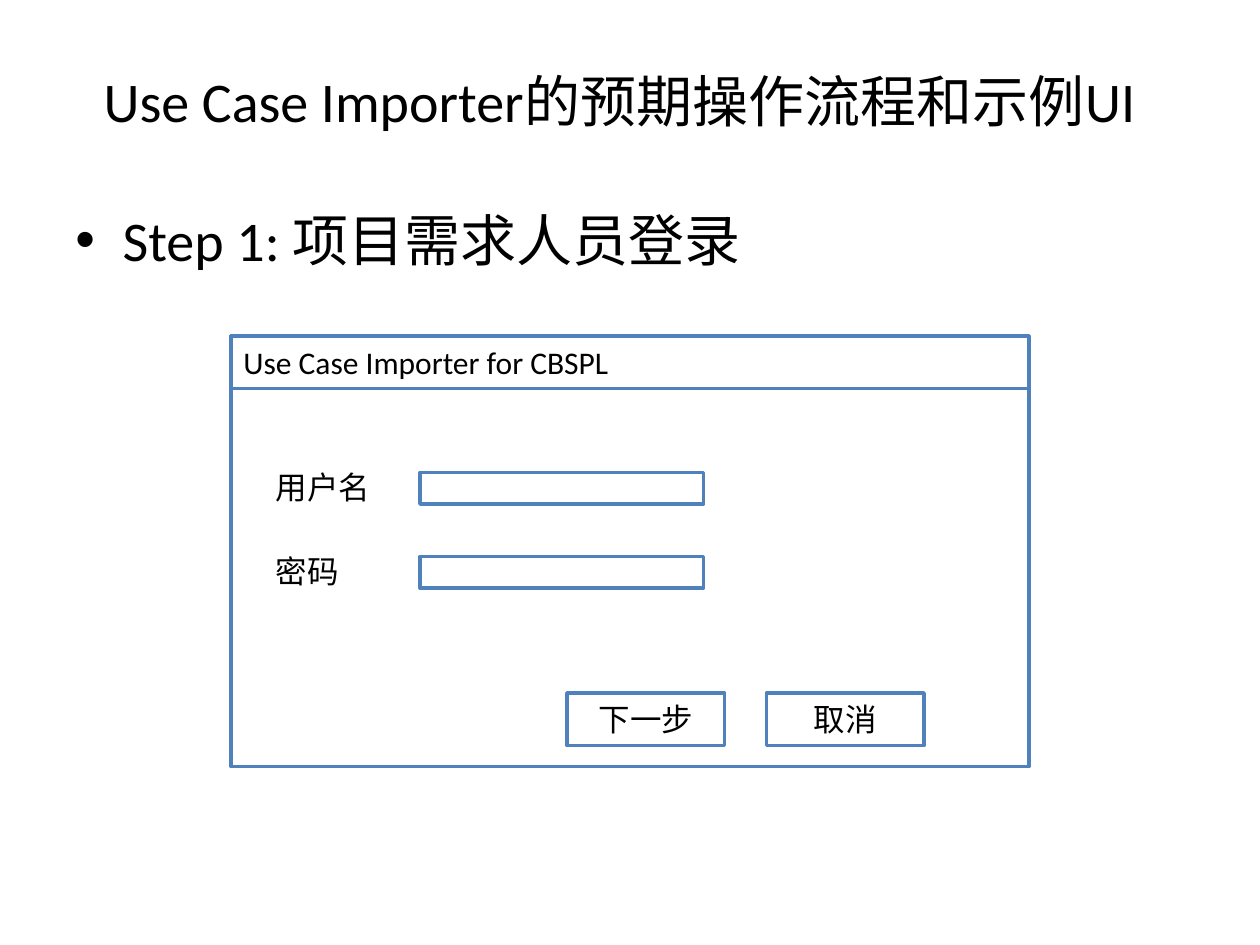
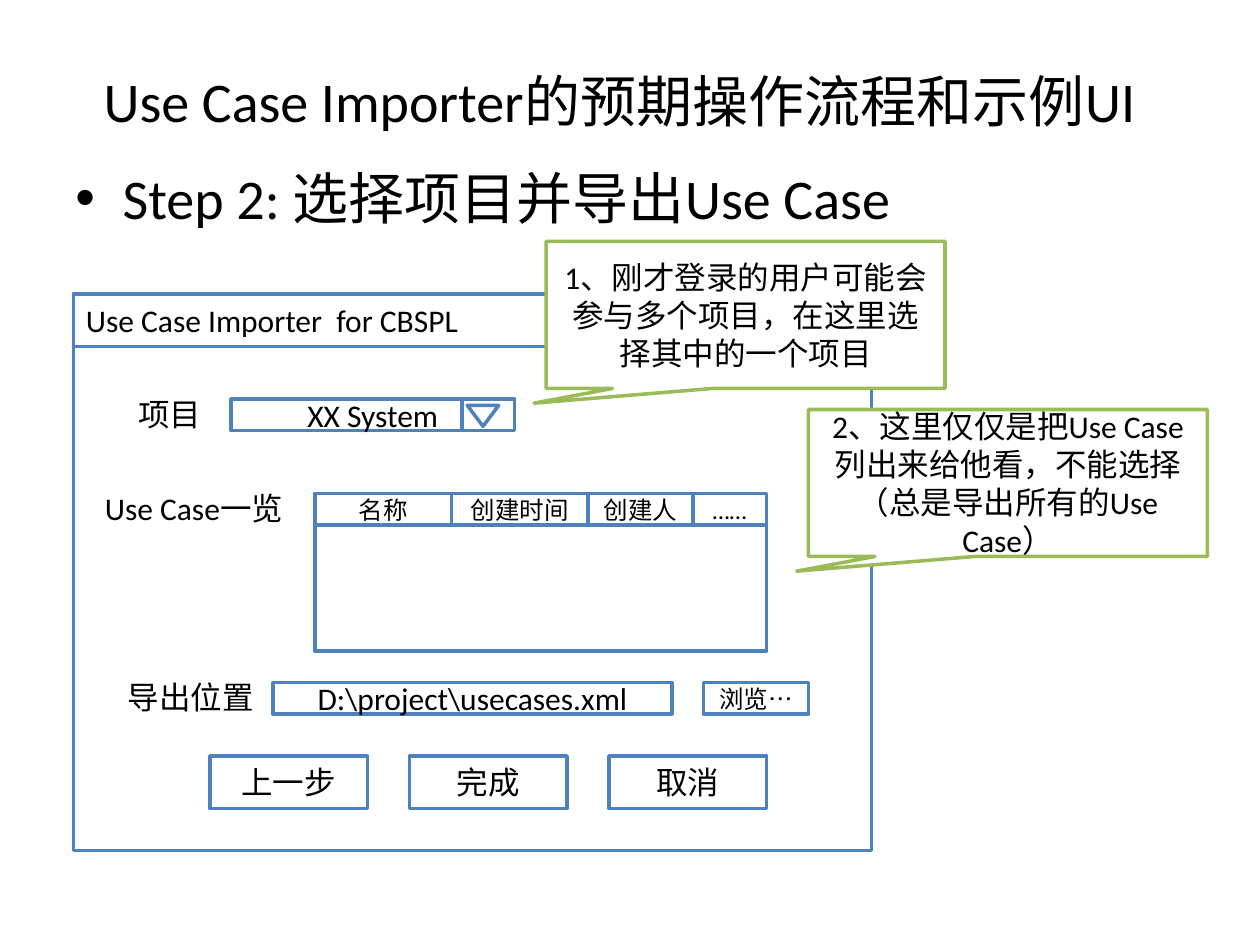
import pptx
import pptx.dml.color
import pptx.enum.shapes
import pptx.enum.text
import pptx.oxml.ns
import pptx.util
from lxml import etree

PX = 914400 // 120  # one px in EMU, 120 px to the inch
FONT = "Calibri"
COLORS = {"text": "000000", "paper": "FFFFFF", "ui": "4F81BD", "note": "9BBB59"}
TITLE = "Use Case Importer的预期操作流程和示例UI"
SHAPES = pptx.enum.shapes.MSO_SHAPE
ALIGN = pptx.enum.text.PP_ALIGN
ANCHOR = pptx.enum.text.MSO_ANCHOR
NO_FIT = pptx.enum.text.MSO_AUTO_SIZE.NONE

FRAME = {"auto_size": NO_FIT, "word_wrap": True, "vertical_anchor": ANCHOR.MIDDLE}
LABEL_FRAME = {"auto_size": NO_FIT, "word_wrap": False, "vertical_anchor": ANCHOR.TOP}
BULLET_FRAME = {"auto_size": NO_FIT, "word_wrap": True, "vertical_anchor": ANCHOR.TOP}

BAR_H = FIELD_H = 0
BAR_H, FIELD_H = 50, 30
BUTTON_W, BUTTON_H, BUTTON_PITCH = 150, 50, 190


def emu(*lengths):
    return [pptx.util.Emu(n * PX) for n in lengths]


def rgb(name):
    return pptx.dml.color.RGBColor.from_string(COLORS[name])


def set_attrs(obj, values):
    for name, value in values.items():
        setattr(obj, name, value)


def write(sp, text, size=18, align=ALIGN.CENTER, frame=FRAME):
    tf = sp.text_frame
    set_attrs(tf, frame)
    p = tf.paragraphs[0]
    p.alignment = align
    r = p.add_run()
    r.text = text
    set_attrs(r.font, {"name": FONT, "size": pptx.util.Pt(size)})
    r.font.color.rgb = rgb("text")
    return p


def style_line(line, color="ui"):
    line.color.rgb = rgb(color)
    line.width = pptx.util.Pt(2)


def shape(slide, box, text="", size=18, align=ALIGN.CENTER,
          kind=SHAPES.RECTANGLE, color="ui"):
    sp = slide.shapes.add_shape(kind, *emu(*box))
    sp.shadow.inherit = False
    sp.fill.solid()
    sp.fill.fore_color.rgb = rgb("paper")
    style_line(sp.line, color)
    if text:
        write(sp, text, size, align)
    return sp


def label(slide, x, y, width, text):
    sp = slide.shapes.add_textbox(*emu(x, y, width, 48))
    write(sp, text, align=ALIGN.LEFT, frame=LABEL_FRAME)


def field(slide, x, y, width, text="", size=18):
    shape(slide, (x, y, width, FIELD_H), text, size)


def buttons(slide, x, y, captions):
    for i, caption in enumerate(captions):
        shape(slide, (x + i * BUTTON_PITCH, y, BUTTON_W, BUTTON_H), caption)


def window(slide, x, y, height, caption):
    shape(slide, (x, y, 760, height))
    shape(slide, (x, y, 760, BAR_H), caption, align=ALIGN.LEFT)


def drop_down(slide, x, y, width, text):
    field(slide, x, y, width, text)
    split = x + width - 50
    arrow = shape(slide, (split + 5, y + 6, 30, 20), kind=SHAPES.ISOSCELES_TRIANGLE)
    arrow.rotation = 180
    line = slide.shapes.add_connector(pptx.enum.shapes.MSO_CONNECTOR.STRAIGHT,
                                      *emu(split, y, split, y + FIELD_H))
    style_line(line.line)
    etree.SubElement(line._element.spPr, pptx.oxml.ns.qn("a:effectLst"))


def list_view(slide, x, y, height, columns):
    shape(slide, (x, y, sum(width for _, width in columns), height))
    for name, width in columns:
        field(slide, x, y, width, name, 14)
        x += width


def callout(slide, x, y, text):
    sp = shape(slide, (x, y, 380, 140), text,
               kind=SHAPES.RECTANGULAR_CALLOUT, color="note")
    sp.adjustments[0], sp.adjustments[1] = -0.53, 0.6


def step_slide(prs, step_y, step):
    slide = prs.slides.add_slide(prs.slide_layouts[5])
    title = slide.shapes.title
    set_attrs(title, dict(zip(("left", "top", "width", "height"),
                              emu(50, 20, 1080, 150))))
    write(title, TITLE, 32)

    # Bulleted step line with a hanging indent
    sp = slide.shapes.add_textbox(*emu(60, step_y, 1080, 80))
    p = write(sp, step, 32, ALIGN.LEFT, BULLET_FRAME)
    p.space_before = pptx.util.Pt(8)
    pPr = p._p.get_or_add_pPr()
    indent = 45 * PX
    pPr.set("marL", str(indent))
    pPr.set("indent", str(-indent))
    for tag, key, value in (("a:buFont", "typeface", "Arial"), ("a:buChar", "char", "•")):
        etree.SubElement(pPr, pptx.oxml.ns.qn(tag)).set(key, value)
    return slide


def login_slide(prs):
    slide = step_slide(prs, 190, "Step 1: 项目需求人员登录")
    window(slide, 220, 320, 410, "Use Case Importer for CBSPL")
    for y, name, width in ((440, "用户名", 114), (520, "密码", 84)):
        label(slide, 251, y, width, name)
        field(slide, 400, y + 10, 270)
    buttons(slide, 540, 660, ("下一步", "取消"))


def export_slide(prs):
    slide = step_slide(prs, 150, "Step 2: 选择项目并导出Use Case")
    window(slide, 70, 280, 530, "Use Case Importer  for CBSPL")

    # Project choice and use case list
    label(slide, 120, 370, 84, "项目")
    drop_down(slide, 220, 380, 270, "XX System")
    label(slide, 88, 460, 200, "Use Case一览")
    list_view(slide, 300, 470, 150,
              (("名称", 130), ("创建时间", 130), ("创建人", 100), ("……", 70)))

    # Export location and buttons
    label(slide, 110, 640, 144, "导出位置")
    field(slide, 260, 650, 380, "D:\\project\\usecases.xml")
    field(slide, 670, 650, 100, "浏览…", 14)
    buttons(slide, 200, 720, ("上一步", "完成", "取消"))

    # Explanations
    callout(slide, 520, 230, "1、刚才登录的用户可能会参与多个项目，在这里选择其中的一个项目")
    callout(slide, 770, 390, "2、这里仅仅是把Use Case列出来给他看，不能选择"
                             "（总是导出所有的Use Case）")


def main():
    prs = pptx.Presentation()
    prs.slide_width, prs.slide_height = emu(1200, 900)
    login_slide(prs)
    export_slide(prs)
    prs.save("out.pptx")


if __name__ == "__main__":
    main()
